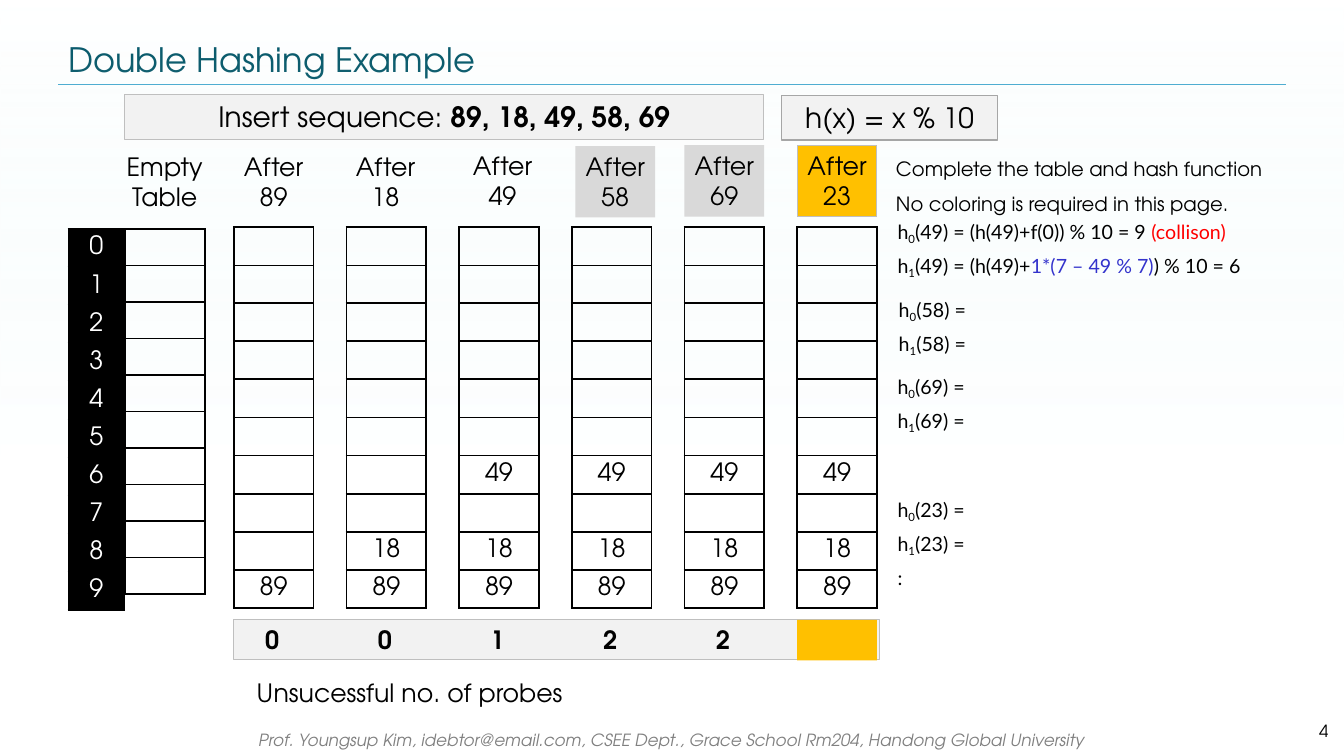
from dataclasses import dataclass
from typing import NamedTuple, Optional

from lxml import etree
from pptx import Presentation
from pptx import util as u
from pptx.dml.color import RGBColor
from pptx.enum import shapes, text
from pptx.oxml import ns

Cm, Pt = u.Cm, u.Pt
LEFT, CENTER, RIGHT = text.PP_ALIGN.LEFT, text.PP_ALIGN.CENTER, text.PP_ALIGN.RIGHT

BLACK = RGBColor(0x00, 0x00, 0x00)
WHITE = RGBColor(0xFF, 0xFF, 0xFF)
TEAL = RGBColor(0x00, 0x54, 0x66)
PALE_TEAL = RGBColor(0xD9, 0xF3, 0xF4)
RULE_BLUE = RGBColor(0x4F, 0xAD, 0xD1)
GREY = RGBColor(0x80, 0x80, 0x80)
LIGHT_GREY = RGBColor(0xF2, 0xF2, 0xF2)
HEADER_GREY = RGBColor(0xD9, 0xD9, 0xD9)
BORDER_GREY = RGBColor(0xBF, 0xBF, 0xBF)
DARK_BORDER = RGBColor(0xA6, 0xA6, 0xA6)
GOLD = RGBColor(0xFF, 0xC0, 0x00)
RED = RGBColor(0xFF, 0x00, 0x00)
BLUE = RGBColor(0x33, 0x33, 0xCC)

HEADING_FONT, FORMULA_FONT = "TeX Gyre Adventor", "Lato"
SLIDE_W, SLIDE_H = 33.87, 19.05
SLOTS = 10
THIN_BELOW = (0, 5)
COLUMN_X, COLUMN_STEP, COLUMN_W = 5.89, 2.84, 2.01
TABLE_Y, ROW_H = 5.72, 0.96


class Box(NamedTuple):
    x: float
    y: float
    w: float
    h: float

    def lengths(self) -> list:
        return [Cm(v) for v in self]


@dataclass
class Label:
    box: Box
    text: str
    size: int = 18
    fill: Optional[RGBColor] = None
    line: Optional[RGBColor] = None
    color: RGBColor = BLACK
    align: text.PP_ALIGN = CENTER
    wrap: bool = True
    bold: bool = False
    italic: bool = False
    anchor: text.MSO_ANCHOR = text.MSO_ANCHOR.TOP


class Run(NamedTuple):
    text: str
    color: RGBColor = BLACK
    baseline: int = 0


@dataclass
class FormulaBlock:
    box: Box
    lines: list


def hash_call(probe: int, key: int, *rest: Run) -> list:
    return [Run("h"), Run(str(probe), baseline=-21000), Run(f"({key}) ="), *rest]


def draw_rect(s, box: Box, fill: RGBColor, line: Optional[RGBColor] = None):
    sp = s.shapes.add_shape(shapes.MSO_SHAPE.RECTANGLE, *box.lengths())
    sp.shadow.inherit = False
    sp.fill.solid()
    sp.fill.fore_color.rgb = fill
    if line is None:
        sp.line.fill.background()
    else:
        sp.line.color.rgb = line
        sp.line.width = Pt(0.75)
    return sp


def format_paragraph(p, size: int, color: RGBColor, align=LEFT, font: str = HEADING_FONT) -> None:
    p.alignment = align
    p.font.name, p.font.size = font, Pt(size)
    p.font.color.rgb = color


def draw_label(s, label: Label):
    if label.fill is None:
        sp = s.shapes.add_textbox(*label.box.lengths())
    else:
        sp = draw_rect(s, label.box, label.fill, label.line)
    tf = sp.text_frame
    tf.word_wrap, tf.vertical_anchor = label.wrap, label.anchor
    tf.text = label.text
    for p in tf.paragraphs:
        format_paragraph(p, label.size, label.color, label.align)
        p.font.bold, p.font.italic = label.bold, label.italic
    return tf


def draw_formulas(s, block: FormulaBlock) -> None:
    tf = s.shapes.add_textbox(*block.box.lengths()).text_frame
    tf.word_wrap = True
    tf.margin_top = tf.margin_bottom = Cm(0.03)
    for i, line in enumerate(block.lines):
        p = tf.add_paragraph() if i else tf.paragraphs[0]
        format_paragraph(p, 14, BLACK, font=FORMULA_FONT)
        p.space_before = Pt(5.8)
        p._p.get_or_add_pPr().set("marL", str(Cm(0.2)))
        for part in line:
            r = p.add_run()
            r.text = part.text
            r.font.color.rgb = part.color
            if part.baseline:
                r._r.get_or_add_rPr().set("baseline", str(part.baseline))


def set_borders(cell, widths: dict) -> None:
    tc_pr = cell._tc.get_or_add_tcPr()
    for side, width in widths.items():
        ln = etree.SubElement(tc_pr, ns.qn(f"a:ln{side}"), w=str(Pt(width)))
        fill = etree.SubElement(ln, ns.qn("a:solidFill"))
        etree.SubElement(fill, ns.qn("a:srgbClr"), val=str(BLACK))


def draw_slots(s, x: float, y: float, w: float, row_h: float, values: dict,
               fill: Optional[RGBColor] = None, color: RGBColor = BLACK) -> None:
    """Draw a one-column hash table; values maps a slot to its key."""
    frame = s.shapes.add_table(SLOTS, 1, *Box(x, y, w, row_h * SLOTS).lengths())
    table = frame.table
    table.first_row = table.horz_banding = False
    for i, row in enumerate(table.rows):
        row.height = Cm(row_h)
        cell = row.cells[0]
        cell.vertical_anchor = text.MSO_ANCHOR.MIDDLE
        cell.margin_left = cell.margin_right = 0
        cell.margin_top = cell.margin_bottom = Cm(0.09) if i in values else 0
        set_borders(cell, {"L": 1.5, "R": 1.5,
                           "T": 1 if i - 1 in THIN_BELOW else 1.5,
                           "B": 1 if i in THIN_BELOW else 1.5})
        if fill is None:
            cell.fill.background()
        else:
            cell.fill.solid()
            cell.fill.fore_color.rgb = fill
        if i in values:
            cell.text = str(values[i])
        format_paragraph(cell.text_frame.paragraphs[0], 18, color, CENTER)


def draw_background(s) -> None:
    sp = draw_rect(s, Box(0, 0, SLIDE_W, SLIDE_H), WHITE)
    sp.fill.gradient()
    sp.fill.gradient_angle = 270
    for stop, color, position, opacity in zip(
            sp.fill.gradient_stops, (PALE_TEAL, WHITE), (0, 0.61), (0, 40000)):
        stop.color.rgb, stop.position = color, position
    for clr, opacity in zip(sp.element.iter(ns.qn("a:srgbClr")), (0, 40000)):
        etree.SubElement(clr, ns.qn("a:alpha"), val=str(opacity))


def draw_title(s) -> None:
    rule = s.shapes.add_connector(shapes.MSO_CONNECTOR.STRAIGHT,
                                  Cm(1.47), Cm(2.13), Cm(32.41), Cm(2.13))
    rule.line.color.rgb, rule.line.width = RULE_BLUE, Pt(0.25)
    etree.SubElement(rule.element.spPr, ns.qn("a:effectLst"))
    title = s.shapes.title
    title.left, title.top, title.width, title.height = Box(1.47, 0.86, 30.94, 1.27).lengths()
    tf = title.text_frame
    tf.text = "Double Hashing Example"
    tf.auto_size, tf.vertical_anchor = text.MSO_AUTO_SIZE.NONE, text.MSO_ANCHOR.MIDDLE
    format_paragraph(tf.paragraphs[0], 24, TEAL)


def draw_probe_counts(s, counts: list) -> None:
    bar = Label(Box(COLUMN_X, 15.6, 16.28, 1.02), "".join(f"\t{n}" for n in counts),
                fill=LIGHT_GREY, line=BORDER_GREY, align=LEFT, bold=True)
    tf = draw_label(s, bar)
    tf.margin_left = 0
    tabs = etree.Element(ns.qn("a:tabLst"))
    for i in range(len(counts)):
        etree.SubElement(tabs, ns.qn("a:tab"), pos=str(Cm(0.97 + COLUMN_STEP * i)), algn="ctr")
    p_pr = tf.paragraphs[0]._p.get_or_add_pPr()
    p_pr.find(ns.qn("a:defRPr")).addprevious(tabs)
    draw_rect(s, Box(20.09, 15.62, COLUMN_W, 1.02), GOLD)


HEADERS = [
    Label(Box(2.92, 3.68, 2.46, 1.8), "Empty\vTable", wrap=False),
    *(Label(Box(x, y, COLUMN_W, 1.8), f"After\n{key}", fill=fill, line=line, wrap=False)
      for key, x, y, fill, line in (
          (89, 5.89, 3.68, None, None), (18, 8.71, 3.68, None, None),
          (49, 11.66, 3.66, None, None), (58, 14.5, 3.68, HEADER_GREY, None),
          (69, 17.25, 3.66, HEADER_GREY, None), (23, 20.09, 3.66, GOLD, BORDER_GREY))),
]
NOTES = [
    Label(Box(19.69, 2.41, 5.46, 1.12), "h(x) = x % 10", 20, LIGHT_GREY, DARK_BORDER),
    Label(Box(22.33, 3.84, 9.83, 0.86), "Complete the table and hash function", 14,
          align=LEFT, wrap=False),
    Label(Box(22.33, 4.7, 8.97, 0.86), "No coloring is required in this page.", 14,
          align=LEFT, wrap=False),
    Label(Box(5.84, 16.94, 8.59, 1.02), "Unsucessful no. of probes", align=RIGHT),
    Label(Box(5.03, 18.26, 23.8, 0.76),
          "Prof. Youngsup Kim, idebtor@email.com, CSEE Dept., Grace School Rm204, "
          "Handong Global University", 12, color=GREY, italic=True),
    Label(Box(30.76, 17.91, 2.97, 1.02), "4", 12, align=RIGHT, anchor=text.MSO_ANCHOR.MIDDLE),
]
FORMULAS = [
    FormulaBlock(Box(22.17, 5.51, 10.87, 1.68), [
        hash_call(0, 49, Run(" (h(49)+f(0)) % 10 = 9 "), Run("(collison)", RED)),
        hash_call(1, 49, Run(" (h(49)+"), Run("1*(7 – 49 % 7)", BLUE), Run(") % 10 = 6"))]),
    FormulaBlock(Box(22.2, 7.47, 5.28, 1.68), [hash_call(0, 58), hash_call(1, 58)]),
    FormulaBlock(Box(22.17, 9.42, 4.39, 1.68), [hash_call(0, 69), hash_call(1, 69)]),
    FormulaBlock(Box(22.17, 12.52, 4.39, 2.49),
                 [hash_call(0, 23), hash_call(1, 23), [Run(":")]]),
]
INSERTED = [{9: 89}, {8: 18}, {6: 49}, {}, {}, {}]


def main() -> None:
    prs = Presentation()
    prs.slide_width, prs.slide_height = Cm(SLIDE_W), Cm(SLIDE_H)
    s = prs.slides.add_slide(prs.slide_layouts[5])
    draw_background(s)
    draw_title(s)
    sequence = draw_label(s, Label(Box(3.15, 2.39, 16.1, 1.12), "Insert sequence: ", 20,
                                   LIGHT_GREY, BORDER_GREY))
    r = sequence.paragraphs[0].add_run()
    r.text, r.font.bold = "89, 18, 49, 58, 69", True
    draw_slots(s, 3.15, 5.77, COLUMN_W, 0.92, {})
    filled = {}
    for i, added in enumerate(INSERTED):
        filled.update(added)
        draw_slots(s, COLUMN_X + COLUMN_STEP * i, TABLE_Y, COLUMN_W, ROW_H, filled)
    draw_slots(s, 1.73, 5.77, 1.4, ROW_H, {i: i for i in range(SLOTS)}, BLACK, WHITE)
    draw_probe_counts(s, [0, 0, 1, 2, 2])
    for label in HEADERS + NOTES:
        draw_label(s, label)
    for block in FORMULAS:
        draw_formulas(s, block)
    prs.save("out.pptx")


if __name__ == "__main__":
    main()
